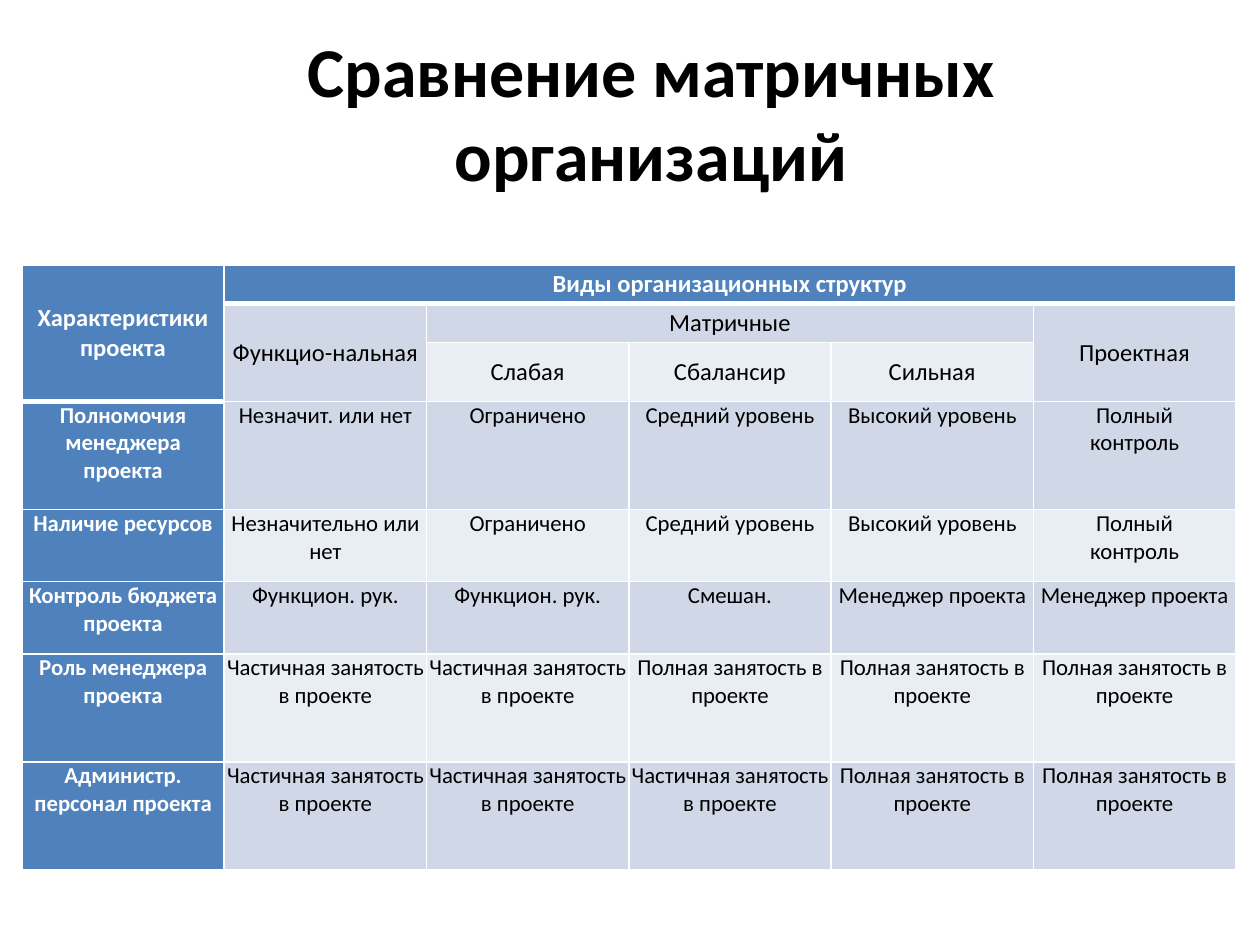
from dataclasses import dataclass

from lxml import etree
from pptx import Presentation
from pptx.dml.color import RGBColor
from pptx.enum.text import MSO_ANCHOR, PP_ALIGN
from pptx.oxml.ns import qn
from pptx.util import Pt

CENTER = PP_ALIGN.CENTER
TOP, MIDDLE = MSO_ANCHOR.TOP, MSO_ANCHOR.MIDDLE
COLORS = {"white": "FFFFFF", "black": "000000", "head": "4F81BD",
          "band": "D0D8E8", "light": "E9EDF4"}
COL_WIDTH = 115.6
ROW_HEIGHTS = [22.2, 22.2, 33, 61.8, 41.2, 41.2, 61.8, 61.8]
CELL_FORMAT = {"margin_left": Pt(1.5), "margin_right": Pt(1.5),
               "margin_top": Pt(0), "margin_bottom": Pt(0)}
TITLE_FORMAT = {"word_wrap": True, "vertical_anchor": TOP,
                "margin_left": Pt(10), "margin_right": Pt(10)}
PART, FULL = "Частичная занятость в проекте", "Полная занятость в проекте"
LEVELS = ["Ограничено", "Средний уровень", "Высокий уровень", "Полный\nконтроль"]


@dataclass
class HeaderCell:
    """A header cell with its place, span and fill."""
    row: int
    col: int
    text: str
    fill: str
    rows: int = 1
    cols: int = 1


HEADERS = [
    HeaderCell(0, 0, "Характеристики\nпроекта", "head", rows=3),
    HeaderCell(0, 1, "Виды организационных структур", "head", cols=5),
    HeaderCell(1, 1, "Функцио-нальная", "band", rows=2),
    HeaderCell(1, 2, "Матричные", "band", cols=3),
    HeaderCell(1, 5, "Проектная", "band", rows=2),
    HeaderCell(2, 2, "Слабая", "light"),
    HeaderCell(2, 3, "Сбалансир", "light"),
    HeaderCell(2, 4, "Сильная", "light"),
]
BODY = [
    ["Полномочия менеджера проекта", "Незначит. или нет", *LEVELS],
    ["Наличие ресурсов", "Незначительно или нет", *LEVELS],
    ["Контроль бюджета проекта", *["Функцион. рук."] * 2, "Смешан.",
     *["Менеджер проекта"] * 2],
    ["Роль менеджера проекта", *[PART] * 2, *[FULL] * 3],
    ["Администр. персонал проекта", *[PART] * 3, *[FULL] * 2],
]


def apply(target, values: dict) -> None:
    """Set every attribute in values on target."""
    for name, value in values.items():
        setattr(target, name, value)


def write(tf, text: str, size: float, color: str, bold: bool) -> None:
    """Write centred paragraphs, one for each line of text."""
    for i, line in enumerate(text.split("\n")):
        p = tf.add_paragraph() if i else tf.paragraphs[0]
        p.alignment = CENTER
        r = p.add_run()
        r.text = line
        apply(r.font, {"name": "Calibri", "size": Pt(size), "bold": bold})
        r.font.color.rgb = RGBColor.from_string(COLORS[color])


def set_borders(cell, widths: dict) -> None:
    """Give the cell white borders of the given widths."""
    props = cell._tc.get_or_add_tcPr()
    for i, (side, width) in enumerate(widths.items()):
        ln = etree.Element(qn(f"a:ln{side}"), w=str(Pt(width)))
        fill = etree.SubElement(ln, qn("a:solidFill"))
        etree.SubElement(fill, qn("a:srgbClr"), val=COLORS["white"])
        props.insert(i, ln)


def is_header_edge(row: int, col: int) -> bool:
    """Tell whether the thick header rule runs below this cell."""
    return row == (0 if col else 2)


def fill_cell(cell, text: str, fill: str, size: float, anchor) -> None:
    """Fill a cell and write its text in the matching colour."""
    cell.fill.solid()
    cell.fill.fore_color.rgb = RGBColor.from_string(COLORS[fill])
    cell.vertical_anchor = anchor
    head = fill == "head"
    write(cell.text_frame, text, size, "white" if head else "black", head)


def add_title(s) -> None:
    """Add the slide title."""
    sp = s.shapes.add_textbox(Pt(53), Pt(12), Pt(638), Pt(104.4))
    apply(sp.text_frame, TITLE_FORMAT)
    write(sp.text_frame, "Сравнение матричных организаций", 40, "black", True)


def add_comparison(s) -> None:
    """Add the comparison table."""
    n_rows, n_cols = len(ROW_HEIGHTS), len(BODY[0])
    table = s.shapes.add_table(n_rows, n_cols, Pt(12.5), Pt(151.4),
                               Pt(COL_WIDTH * n_cols), Pt(sum(ROW_HEIGHTS))).table
    for column in table.columns:
        column.width = Pt(COL_WIDTH)
    for i, height in enumerate(ROW_HEIGHTS):
        table.rows[i].height = Pt(height)
        for j in range(n_cols):
            cell = table.cell(i, j)
            apply(cell, CELL_FORMAT)
            set_borders(cell, {"L": 1, "R": 1,
                               "T": 3 if is_header_edge(i - 1, j) else 1,
                               "B": 3 if is_header_edge(i, j) else 1})
    for h in HEADERS:
        cell = table.cell(h.row, h.col)
        if h.rows * h.cols > 1:
            cell.merge(table.cell(h.row + h.rows - 1, h.col + h.cols - 1))
        fill_cell(cell, h.text, h.fill, 14, MIDDLE)
    for i, texts in enumerate(BODY):
        band = "light" if i % 2 else "band"
        for j, text in enumerate(texts):
            fill_cell(table.cell(i + 3, j), text, band if j else "head", 13, TOP)


def main() -> None:
    """Build and save the slide."""
    prs = Presentation()
    prs.slide_width, prs.slide_height = Pt(720), Pt(540)
    s = prs.slides.add_slide(prs.slide_layouts[6])
    add_title(s)
    add_comparison(s)
    prs.save("out.pptx")


main()
